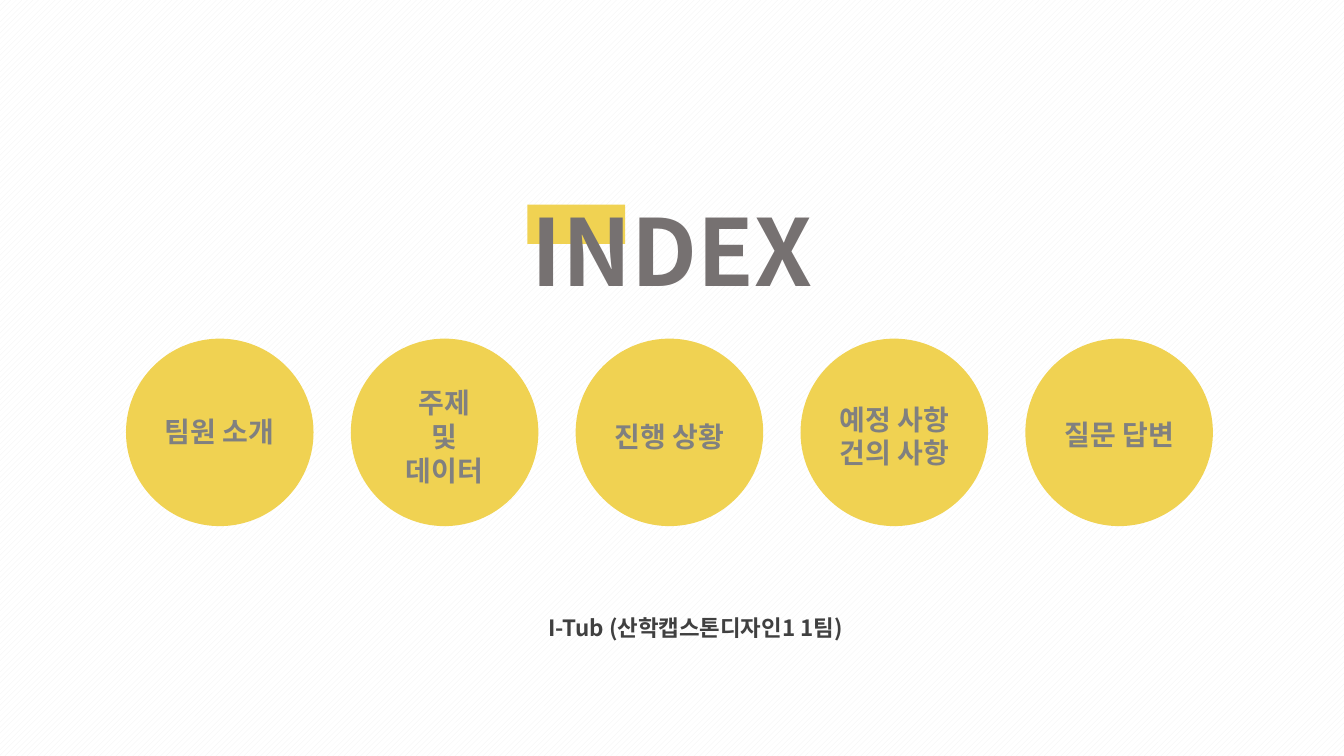
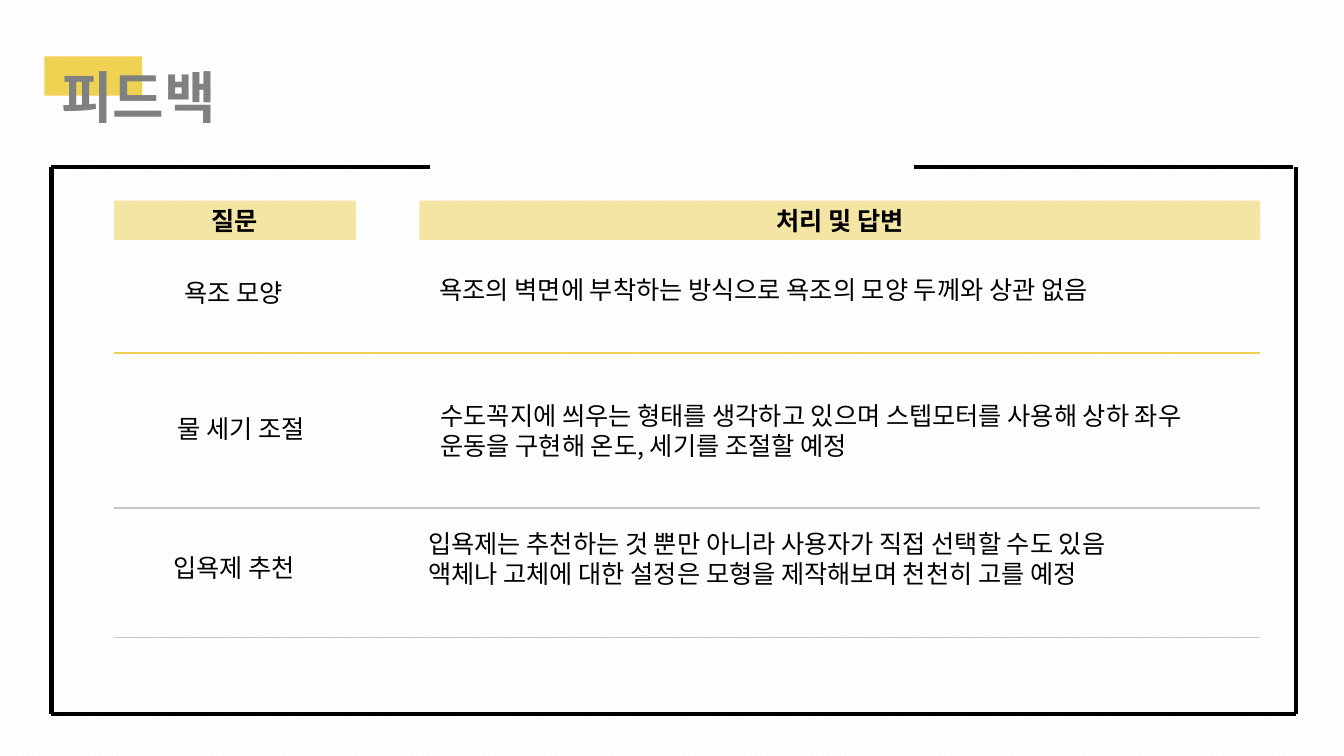
from lxml.etree import SubElement
from pptx import Presentation
from pptx.dml.color import RGBColor
from pptx.enum.dml import MSO_PATTERN
from pptx.enum.shapes import MSO_CONNECTOR, MSO_SHAPE
from pptx.enum.text import MSO_ANCHOR as ANCHOR, MSO_AUTO_SIZE as AUTO_SIZE, PP_ALIGN as ALIGN
from pptx.oxml.ns import qn
from pptx.util import Inches, Pt

FONT = "Noto Sans CJK KR"
YELLOW = "F0D252"
PALE_YELLOW = "F4E5A5"
GRAY = "808080"
WARM_GRAY = "767171"
DARK_GRAY = "404040"
LIGHT_GRAY = "C8C8C8"
BLACK = "000000"
WHITE = "FFFFFF"
STRIPE = "F2F2F2"

INDEX_ITEMS = [
    (4.06, ["팀원 소개"]),
    (3.78, ["주제", "및", "데이터"]),
    (4.11, ["진행 상황"]),
    (3.94, ["예정 사항", "건의 사항"]),
    (4.09, ["질문 답변"]),
]
HEADERS = [(1.13, 2.4, "질문"), (4.16, 8.34, "처리 및 답변")]
QUESTIONS = [
    (1.12, 2.7, "욕조 모양"),
    (1.19, 4.05, "물 세기 조절"),
    (1.12, 5.43, "입욕제 추천"),
]
ANSWERS = [
    (4.26, 2.67, ["욕조의 벽면에 부착하는 방식으로 욕조의 모양 두께와 상관 없음"]),
    (4.27, 3.92, ["수도꼭지에 씌우는 형태를 생각하고 있으며 스텝모터를 사용해 상하 좌우 "
                  "운동을 구현해 온도, 세기를 조절할 예정"]),
    (4.15, 5.19, ["입욕제는 추천하는 것 뿐만 아니라 사용자가 직접 선택할 수도 있음",
                  "액체나 고체에 대한 설정은 모형을 제작해보며 천천히 고를 예정"]),
]
DIVIDERS = [(3.5, YELLOW, 1.5), (5.04, LIGHT_GRAY, 0.75), (6.32, LIGHT_GRAY, 0.75)]


def color(value):
    return RGBColor.from_string(value)


def inches(*lengths):
    return [Inches(length) for length in lengths]


def set_attributes(target, values):
    for name, value in values.items():
        setattr(target, name, value)


def write_text(shape, lines, size, font_color, bold=False, align=ALIGN.LEFT, anchor=ANCHOR.TOP):
    frame = shape.text_frame
    set_attributes(frame, {"word_wrap": True, "auto_size": AUTO_SIZE.NONE, "vertical_anchor": anchor})
    for number, line in enumerate(lines):
        paragraph = frame.add_paragraph() if number else frame.paragraphs[0]
        paragraph.alignment = align
        run = paragraph.add_run()
        run.text = line
        set_attributes(run.font, {"name": FONT, "size": Pt(size), "bold": bold})
        run.font.color.rgb = color(font_color)
        SubElement(run._r.get_or_add_rPr(), qn("a:ea")).set("typeface", FONT)


def add_text(slide, box, lines, size, font_color, **text_format):
    shape = slide.shapes.add_textbox(*inches(*box))
    write_text(shape, lines, size, font_color, **text_format)


def add_filled_shape(slide, kind, box, fill):
    shape = slide.shapes.add_shape(kind, *inches(*box))
    shape.shadow.inherit = False
    shape.fill.solid()
    shape.fill.fore_color.rgb = color(fill)
    shape.line.fill.background()
    return shape


def add_line(shapes, start, end, line_color, width):
    line = shapes.add_connector(MSO_CONNECTOR.STRAIGHT, *inches(*start, *end))
    line.line.color.rgb = color(line_color)
    line.line.width = Pt(width)
    SubElement(line.element.spPr, qn("a:effectLst"))


def add_title(slide, text, box, accent_at, size, font_color, align):
    accent = add_filled_shape(slide, MSO_SHAPE.RECTANGLE, (*accent_at, 0.97, 0.39), YELLOW)
    title = slide.shapes.title
    title.element.addprevious(accent.element)
    set_attributes(title, dict(zip(("left", "top", "width", "height"), inches(*box))))
    write_text(title, [text], size, font_color, bold=True, align=align)


def set_background(presentation):
    fill = presentation.slide_master.background.fill
    fill.patterned()
    fill.pattern = MSO_PATTERN.WIDE_UPWARD_DIAGONAL
    fill.fore_color.rgb = color(STRIPE)
    fill.back_color.rgb = color(WHITE)


def add_frame(slide):
    left, top, right, bottom = 0.51, 1.66, 12.85, 7.08
    group = slide.shapes.add_group_shape()
    for start, end in [
        ((left, top), (4.26, top)),
        ((9.07, top), (12.82, top)),
        ((right, top), (right, bottom)),
        ((left, bottom), (right, bottom)),
        ((left, top), (left, bottom)),
    ]:
        add_line(group.shapes, start, end, BLACK, 3)


def build_index(slide):
    add_title(slide, "INDEX", (3.96, 1.88, 5.41, 1.21), (5.23, 2.03), 66, WARM_GRAY, ALIGN.CENTER)
    diameter, pitch = 1.86, 2.23
    for number, (label_top, lines) in enumerate(INDEX_ITEMS):
        left = 1.25 + number * pitch
        add_filled_shape(slide, MSO_SHAPE.OVAL, (left, 3.36, diameter, diameter), YELLOW)
        add_text(slide, (left, label_top, diameter, 0.1 + 0.34 * len(lines)), lines, 20, GRAY,
                 bold=True, align=ALIGN.CENTER)
    add_text(slide, (5.34, 6.04, 4, 0.37), ["I-Tub (산학캡스톤디자인1 1팀)"], 16, DARK_GRAY, bold=True)


def build_feedback(slide):
    add_title(slide, "피드백", (0.51, 0.57, 4.62, 0.77), (0.44, 0.56), 40, GRAY, ALIGN.LEFT)
    add_frame(slide)
    for left, width, label in HEADERS:
        header = add_filled_shape(slide, MSO_SHAPE.RECTANGLE, (left, 1.99, width, 0.39), PALE_YELLOW)
        write_text(header, [label], 18, BLACK, bold=True, align=ALIGN.CENTER, anchor=ANCHOR.MIDDLE)
    for left, top, question in QUESTIONS:
        add_text(slide, (left, top, 2.4, 0.4), [question], 18, BLACK, align=ALIGN.CENTER)
    for left, top, lines in ANSWERS:
        add_text(slide, (left, top, 8.19, 0.71), lines, 18, BLACK)
    for top, line_color, width in DIVIDERS:
        add_line(slide.shapes, (1.13, top), (12.5, top), line_color, width)


def main():
    presentation = Presentation()
    set_attributes(presentation, {"slide_width": Inches(13.33), "slide_height": Inches(7.5)})
    set_background(presentation)
    title_only = presentation.slide_layouts[5]
    for build in (build_index, build_feedback):
        build(presentation.slides.add_slide(title_only))
    presentation.save("out.pptx")


if __name__ == "__main__":
    main()
